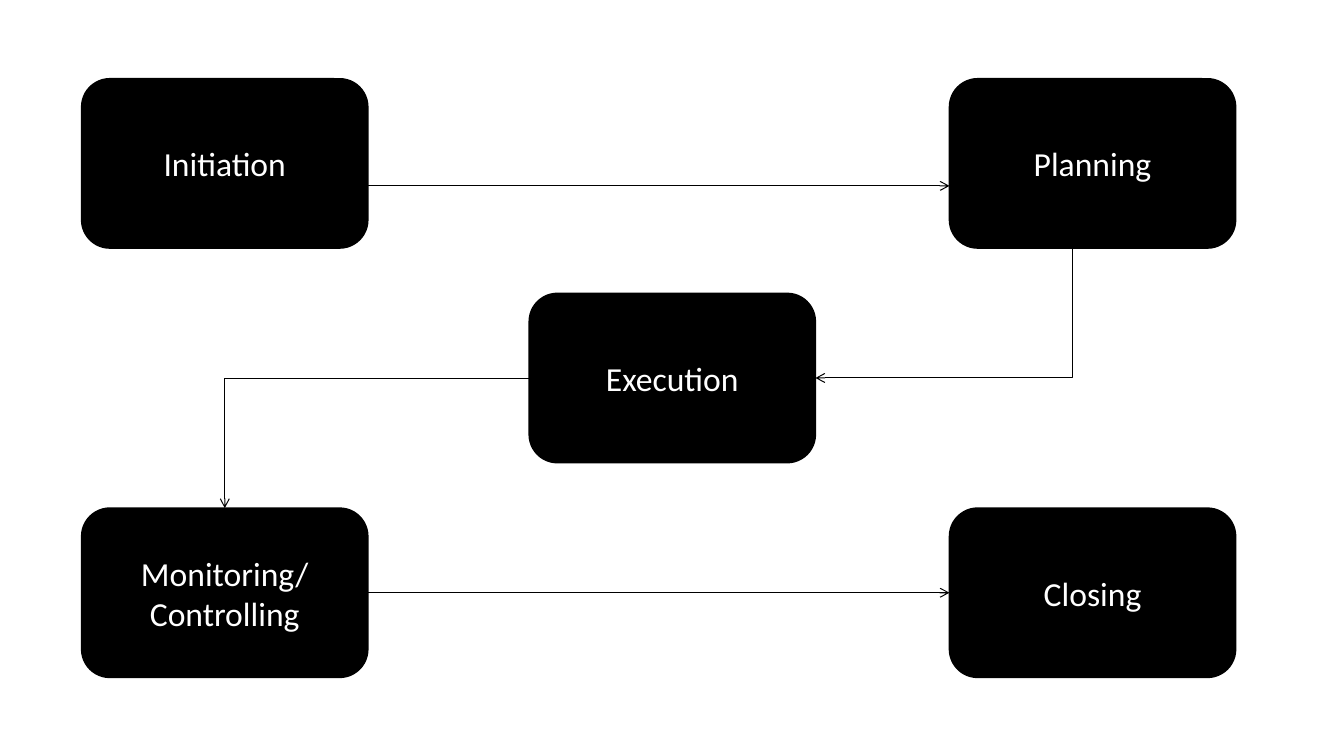
import pptx
import pptx.dml.color
import pptx.enum.shapes
import pptx.enum.text
import pptx.oxml.ns
import pptx.util
import lxml.etree

Pt = pptx.util.Pt
qn = pptx.oxml.ns.qn
COLORS = {"ink": "000000", "label": "FFFFFF"}
WIDTH, HEIGHT = 204.5, 121
LEFT, CENTER, RIGHT = 58.3, 378, 678.2
TOP, MIDDLE, BOTTOM = 56.2, 209.5, 362.9


def color(name):
    return pptx.dml.color.RGBColor.from_string(COLORS[name])


def write(box, text, size=24, font="Calibri", fill="label"):
    frame = box.text_frame
    frame.word_wrap = True
    frame.vertical_anchor = pptx.enum.text.MSO_ANCHOR.MIDDLE
    para = frame.paragraphs[0]
    para.alignment = pptx.enum.text.PP_ALIGN.CENTER
    span = para.add_run()
    span.text = text
    span.font.size = Pt(size)
    span.font.name = font
    span.font.color.rgb = color(fill)


deck = pptx.Presentation()
deck.slide_width, deck.slide_height = Pt(960), Pt(540)
page = deck.slides.add_slide(deck.slide_layouts[6])

phases = [
    ("Initiation", LEFT, TOP),
    ("Monitoring/Controlling", LEFT, BOTTOM),
    ("Closing", RIGHT, BOTTOM),
    ("Execution", CENTER, MIDDLE),
    ("Planning", RIGHT, TOP),
]
for name, left, top in phases:
    box = page.shapes.add_shape(
        pptx.enum.shapes.MSO_SHAPE.ROUNDED_RECTANGLE,
        Pt(left), Pt(top), Pt(WIDTH), Pt(HEIGHT))
    box.shadow.inherit = False
    box.fill.solid()
    box.fill.fore_color.rgb = color("ink")
    box.line.color.rgb = color("ink")
    box.line.width = Pt(1)
    write(box, name)

middle_line = MIDDLE + HEIGHT / 2
bottom_line = BOTTOM + HEIGHT / 2
arrows = [
    ("line", (252, 132.8), (RIGHT, 132.8)),
    ("bentConnector3", (766.5, 147.6), (CENTER + WIDTH, middle_line)),
    ("bentConnector2", (CENTER, middle_line), (LEFT + WIDTH / 2, BOTTOM)),
    ("line", (LEFT + WIDTH, bottom_line), (RIGHT, bottom_line)),
]
for preset, start, end in arrows:
    arrow = page.shapes.add_connector(
        pptx.enum.shapes.MSO_CONNECTOR.STRAIGHT,
        *[Pt(value) for value in start + end])
    arrow.line.color.rgb = color("ink")
    arrow.line.width = Pt(0.75)
    properties = arrow._element.spPr
    lxml.etree.SubElement(properties.find(qn("a:ln")), qn("a:tailEnd"), type="arrow")
    lxml.etree.SubElement(properties, qn("a:effectLst"))
    geometry = properties.find(qn("a:prstGeom"))
    geometry.set("prst", preset)
    if preset != "line":
        frame = properties.find(qn("a:xfrm"))
        frame.attrib.pop("flipH", None)
        frame.set("rot", "10800000")
        frame.set("flipV", "1")
    if preset == "bentConnector3":
        lxml.etree.SubElement(
            geometry.find(qn("a:avLst")), qn("a:gd"), name="adj1", fmla="val 400")

deck.save("out.pptx")
